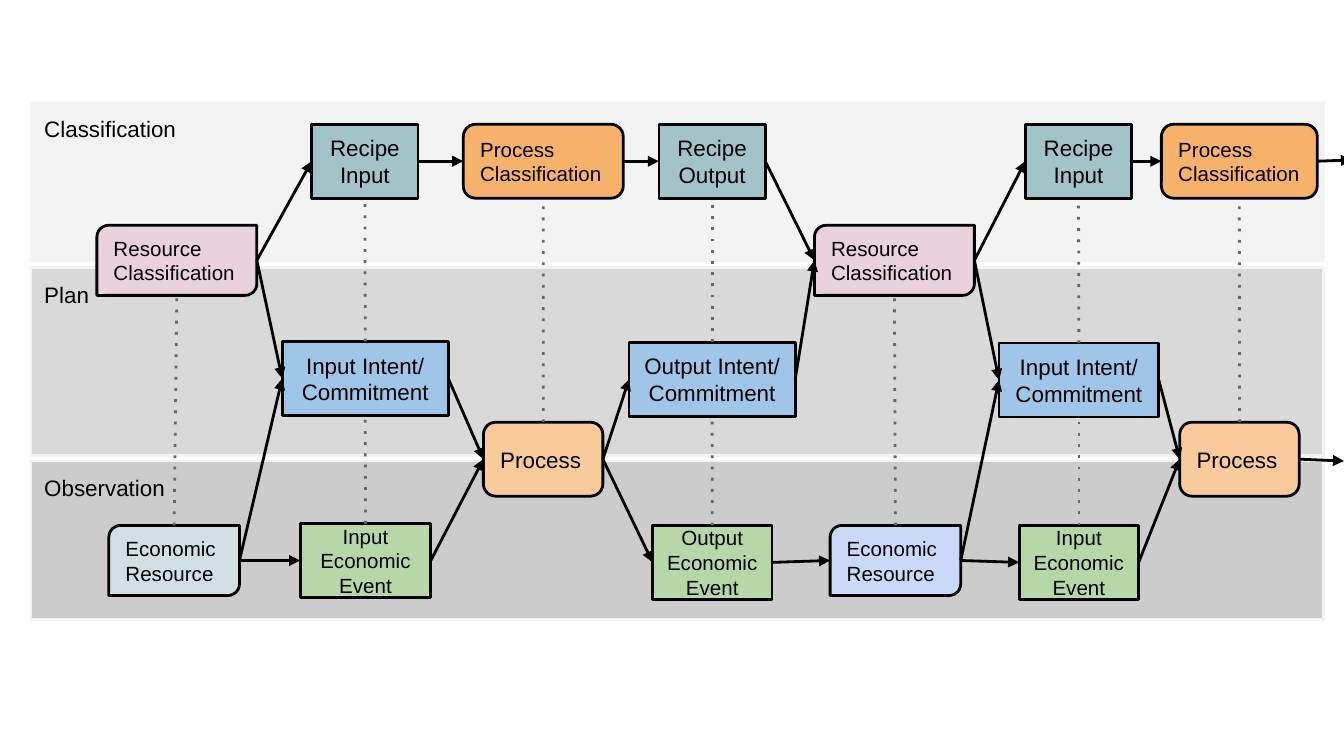
from lxml import etree
from pptx import Presentation
from pptx.dml.color import RGBColor
from pptx.enum import shapes, text
from pptx.oxml import ns
from pptx.util import Pt

FORM = shapes.MSO_SHAPE
SIDE = text.PP_ALIGN
MID = text.MSO_ANCHOR.MIDDLE
TOP = text.MSO_ANCHOR.TOP

BANDS = [
    ("Observation", 247, 85, "CCCCCC"),
    ("Plan", 143.3, 100.8, "D9D9D9"),
    ("Classification", 54.7, 85, "F3F3F3"),
]

KINDS = {
    "event": (FORM.RECTANGLE, "B6D7A8", 11, SIDE.CENTER, 39.6),
    "stock": (FORM.ROUND_2_DIAG_RECTANGLE, "D0E0E3", 11, SIDE.LEFT, 37.6),
    "goods": (FORM.ROUND_2_DIAG_RECTANGLE, "C9DAF8", 11, SIDE.LEFT, 37.6),
    "process": (FORM.ROUNDED_RECTANGLE, "F9CB9C", 12, SIDE.LEFT, 39.6),
    "intent": (FORM.RECTANGLE, "9FC5E8", 12, SIDE.CENTER, 39.6),
    "class": (FORM.ROUNDED_RECTANGLE, "F6B26B", 11, SIDE.LEFT, 39.6),
    "recipe": (FORM.RECTANGLE, "A2C4C9", 12, SIDE.CENTER, 39.6),
    "type": (FORM.ROUND_2_DIAG_RECTANGLE, "EAD1DC", 11, SIDE.LEFT, 37.6),
}

BOXES = {
    "event1": ("event", "Input\nEconomic Event", 160.8, 280.5, 70),
    "event2": ("event", "Output Economic\nEvent", 349.6, 281.5, 64),
    "event3": ("event", "Input Economic\nEvent", 546, 281.5, 64),
    "stock1": ("stock", "Economic Resource", 58.3, 281.5, 70),
    "stock2": ("goods", "Economic Resource", 444.7, 281.5, 70),
    "process1": ("process", "Process", 259, 226.2, 64),
    "process2": ("process", "Process", 632, 226.2, 64),
    "intent1": ("intent", "Input Intent/\nCommitment", 151.2, 183, 89),
    "intent2": ("intent", "Output Intent/\nCommitment", 337, 183.4, 89),
    "intent3": ("intent", "Input Intent/\nCommitment", 535.2, 183.8, 85.6),
    "class1": ("class", "Process Classification", 248.2, 66.6, 85.7),
    "class2": ("class", "Process Classification", 622.2, 66.6, 83.5),
    "recipe1": ("recipe", "Recipe Input", 167, 66.6, 57),
    "recipe2": ("recipe", "Recipe Output", 353, 66.6, 57),
    "recipe3": ("recipe", "Recipe Input", 549.3, 66.6, 57),
    "type1": ("type", "Resource Classification", 51.9, 120.7, 85.7),
    "type2": ("type", "Resource Classification", 436.3, 120.7, 85.7),
}

FLOWS = [
    "type1 recipe1", "recipe1 class1", "class1 recipe2", "recipe2 type2",
    "type2 recipe3", "recipe3 class2", "type1 intent1", "stock1 intent1",
    "stock1 event1", "intent1 process1", "event1 process1",
    "process1 intent2", "process1 event2", "intent2 type2",
    "event2 stock2", "stock2 event3", "stock2 intent3", "type2 intent3",
    "intent3 process2", "event3 process2",
]

LINKS = [
    "stock1 type1", "process1 class1", "intent1 recipe1",
    "intent2 recipe2", "stock2 type2", "intent3 recipe3",
    "process2 class2", "event1 intent1", "event2 intent2",
    "event3 intent3",
]

EXITS = [("class2", 724.3, 85.7), ("process2", 720, 247)]


def tint(code):
    return RGBColor.from_string(code)


def put(item, **values):
    for name, value in values.items():
        setattr(item, name, value)


def add_box(slide, form, label, spot, fill, edge, size, align, anchor):
    box = slide.shapes.add_shape(form, *map(Pt, spot))
    box.shadow.inherit = False
    box.fill.solid()
    box.fill.fore_color.rgb = tint(fill)
    box.line.color.rgb = tint(edge)
    box.line.width = Pt(1.5)
    frame = box.text_frame
    gap = Pt(7.2)
    put(frame, text=label, word_wrap=True, vertical_anchor=anchor,
        margin_left=gap, margin_right=gap, margin_top=gap,
        margin_bottom=gap)
    for para in frame.paragraphs:
        para.alignment = align
        put(para.font, name="Arial", size=Pt(size))
        para.font.color.rgb = tint("000000")
    return box


def add_line(slide, start, end, color, tag, **marks):
    kind = shapes.MSO_CONNECTOR.STRAIGHT
    line = slide.shapes.add_connector(kind, *start, *end)
    line.line.color.rgb = tint(color)
    line.line.width = Pt(1.5)
    stroke = line.line._get_or_add_ln()
    etree.SubElement(stroke, ns.qn(tag), **marks)
    etree.SubElement(line._element.spPr, ns.qn("a:effectLst"))


def add_flow(slide, start, end):
    add_line(slide, start, end, "000000", "a:tailEnd", type="triangle")


def left(box):
    return box.left, box.top + box.height // 2


def right(box):
    return box.left + box.width, box.top + box.height // 2


def top(box):
    return box.left + box.width // 2, box.top


def base(box):
    return box.left + box.width // 2, box.top + box.height


def main():
    deck = Presentation()
    put(deck, slide_width=Pt(720), slide_height=Pt(405))
    slide = deck.slides.add_slide(deck.slide_layouts[6])
    for label, y, high, fill in BANDS:
        add_box(slide, FORM.RECTANGLE, label, (16.6, y, 692.6, high), fill,
                "F3F3F3", 12, SIDE.LEFT, TOP)
    boxes = {}
    for name, (kind, label, x, y, wide) in BOXES.items():
        form, fill, size, align, high = KINDS[kind]
        boxes[name] = add_box(slide, form, label, (x, y, wide, high), fill,
                              "000000", size, align, MID)
    for pair in FLOWS:
        start, end = (boxes[name] for name in pair.split())
        add_flow(slide, right(start), left(end))
    for name, x, y in EXITS:
        add_flow(slide, right(boxes[name]), (Pt(x), Pt(y)))
    for pair in LINKS:
        low, high = (boxes[name] for name in pair.split())
        add_line(slide, top(low), base(high), "666666", "a:prstDash",
                 val="dot")
    deck.save("out.pptx")


if __name__ == "__main__":
    main()
